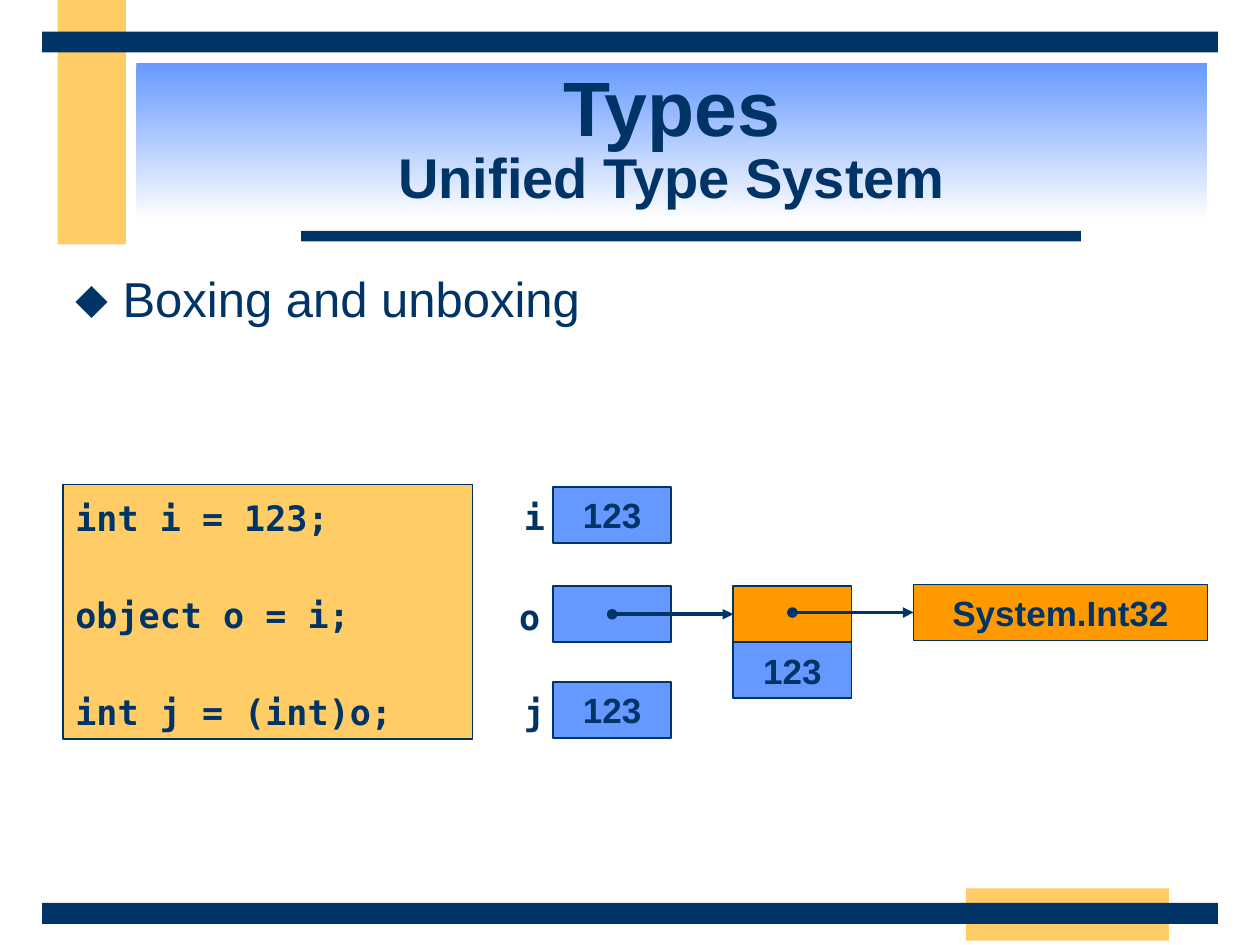
from typing import NamedTuple, Optional

from lxml import etree
from pptx import Presentation
from pptx.dml.color import RGBColor
from pptx.enum import shapes, text
from pptx.oxml import ns
from pptx.util import Pt

NAVY = RGBColor(0x00, 0x33, 0x66)
BLUE = RGBColor(0x66, 0x99, 0xFF)
ORANGE = RGBColor(0xFF, 0x99, 0x00)
SAND = RGBColor(0xFF, 0xCC, 0x66)
WHITE = RGBColor(0xFF, 0xFF, 0xFF)
SANS = "Arial"
MONO = "DejaVu Sans Mono"

CELL_WIDTH, CELL_HEIGHT = 67.6, 32
VARIABLE_LEFT, HEAP_LEFT, TYPE_LEFT = 316, 419, 522


class Box(NamedTuple):
    left: float
    top: float
    width: float
    height: float
    fill: RGBColor
    label: str = ""


class Variable(NamedTuple):
    name: str
    top: float
    label_left: float
    label_width: float
    value: str


BANDS = [
    Box(33, 0, 39, 139.7, SAND),
    Box(552, 507.6, 116, 30, SAND),
    Box(172, 132, 445.7, 6, NAVY),
    Box(24, 516, 672, 12, NAVY),
    Box(24, 18, 672, 12, NAVY),
]
VARIABLES = [
    Variable("i", 278.2, 292.3, 20, "123"),
    Variable("o", 335, 289.4, 26.6, ""),
    Variable("j", 389.6, 292.3, 20, "123"),
]
CODE = ["int i = 123;", "object o = i;", "int j = (int)o;"]


def add_box(slide, box: Box, line_width: Optional[float] = None):
    shape = slide.shapes.add_shape(
        shapes.MSO_SHAPE.RECTANGLE,
        Pt(box.left), Pt(box.top), Pt(box.width), Pt(box.height))
    shape.shadow.inherit = False
    shape.fill.solid()
    shape.fill.fore_color.rgb = box.fill
    if line_width is None:
        shape.line.fill.background()
    else:
        shape.line.color.rgb = NAVY
        shape.line.width = Pt(line_width)
    if box.label:
        write(shape, [box.label])
    return shape


def write(shape, lines: list[str], *, size: float = 20, font: str = SANS,
          bold: bool = True, align=text.PP_ALIGN.CENTER,
          anchor=text.MSO_ANCHOR.MIDDLE, wrap: bool = True,
          spacing: float = 1.0, gap: float = 0) -> None:
    """Fill a shape with one paragraph per line, gap points apart."""
    frame = shape.text_frame
    frame.word_wrap = wrap
    frame.vertical_anchor = anchor
    for index, line in enumerate(lines):
        paragraph = frame.add_paragraph() if index else frame.paragraphs[0]
        paragraph.text = line
        paragraph.alignment = align
        paragraph.line_spacing = spacing
        if index:
            paragraph.space_before = Pt(gap)
        for run in paragraph.runs:
            run.font.name = font
            run.font.size = Pt(size)
            run.font.bold = bold
            run.font.color.rgb = NAVY


def add_text_box(slide, left: float, top: float, width: float, height: float):
    return slide.shapes.add_textbox(Pt(left), Pt(top), Pt(width), Pt(height))


def add_bullet(paragraph, char: str, indent: float) -> None:
    properties = paragraph._p.get_or_add_pPr()
    properties.set("marL", str(Pt(indent)))
    properties.set("indent", str(-Pt(indent)))
    color = etree.SubElement(properties, ns.qn("a:buClr"))
    etree.SubElement(color, ns.qn("a:srgbClr"), val=str(NAVY))
    etree.SubElement(properties, ns.qn("a:buSzPct"), val="110000")
    etree.SubElement(properties, ns.qn("a:buFont"), typeface=MONO)
    etree.SubElement(properties, ns.qn("a:buChar"), char=char)


def add_reference(slide, source, target) -> None:
    """Draw an arrow from the middle of source to the left side of target."""
    middle = target.top + target.height // 2
    arrow = slide.shapes.add_connector(
        shapes.MSO_CONNECTOR.STRAIGHT,
        source.left + source.width // 2, middle, target.left, middle)
    arrow.end_connect(target, 1)
    arrow.line.color.rgb = NAVY
    arrow.line.width = Pt(2)
    line = arrow.line._get_or_add_ln()
    etree.SubElement(line, ns.qn("a:headEnd"), type="oval")
    etree.SubElement(line, ns.qn("a:tailEnd"), type="triangle")
    etree.SubElement(arrow._element.spPr, ns.qn("a:effectLst"))


def add_title(slide) -> None:
    title = add_box(slide, Box(78, 36, 612, 90, BLUE))
    title.fill.gradient()
    title.fill.gradient_angle = 270
    for stop, color, position in zip(title.fill.gradient_stops, (BLUE, WHITE), (0, 1)):
        stop.color.rgb = color
        stop.position = position
    write(title, ["Types\vUnified Type System"], size=44, spacing=0.85)
    subtitle = title.text_frame.paragraphs[0].runs[1]
    subtitle.font.size = Pt(32)


def add_memory_diagram(slide) -> None:
    cells = {}
    for variable in VARIABLES:
        cells[variable.name] = add_box(
            slide, Box(VARIABLE_LEFT, variable.top, CELL_WIDTH, CELL_HEIGHT,
                       BLUE, variable.value), 1)
        name = add_text_box(slide, variable.label_left, variable.top + 1,
                            variable.label_width, CELL_HEIGHT)
        write(name, [variable.name], font=MONO, wrap=False)

    heap_top = VARIABLES[1].top
    type_pointer = add_box(
        slide, Box(HEAP_LEFT, heap_top, CELL_WIDTH, CELL_HEIGHT, ORANGE), 1)
    add_box(slide, Box(HEAP_LEFT, heap_top + CELL_HEIGHT, CELL_WIDTH,
                       CELL_HEIGHT, BLUE, "123"), 1)
    type_box = add_box(
        slide, Box(TYPE_LEFT, 334, 168, CELL_HEIGHT, ORANGE, "System.Int32"), 1)
    add_reference(slide, cells["o"], type_pointer)
    add_reference(slide, type_pointer, type_box)


def main() -> None:
    presentation = Presentation()
    presentation.slide_width, presentation.slide_height = Pt(720), Pt(540)
    slide = presentation.slides.add_slide(presentation.slide_layouts[6])

    for band in BANDS:
        add_box(slide, band)
    add_title(slide)

    body = add_text_box(slide, 36, 150, 648, 354)
    add_bullet(body.text_frame.paragraphs[0], "◆", 27)
    write(body, ["Boxing and unboxing"], size=28, bold=False,
          align=text.PP_ALIGN.LEFT, anchor=text.MSO_ANCHOR.TOP)

    code = add_box(slide, Box(36, 276.8, 234, 145.5, SAND), 0.75)
    write(code, CODE, font=MONO, align=text.PP_ALIGN.LEFT, spacing=1.15, gap=27.8)

    add_memory_diagram(slide)
    presentation.save("out.pptx")


if __name__ == "__main__":
    main()
